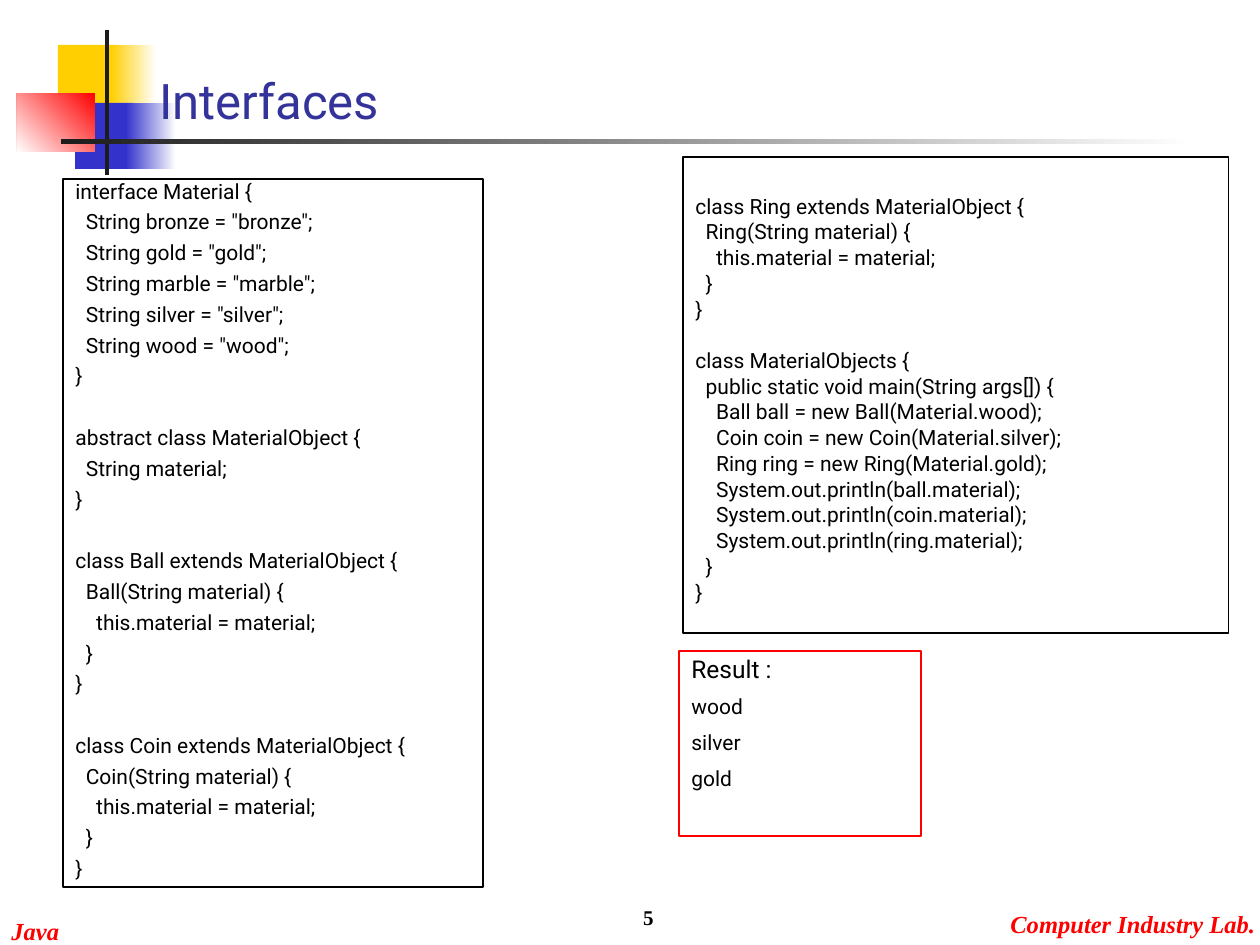
from pptx import Presentation
from pptx import util as u
from pptx.dml.color import RGBColor
from pptx.enum import shapes, text

PX = 914400 // 126
THEME = {
    "sans": "Roboto", "serif": "Times New Roman",
    "white": "FFFFFF", "black": "000000", "dark": "1C1C1C", "red": "FF0000",
    "gold": "FFCF01", "blue": "3333CC", "title": "333399",
    "head": 28, "label": 14, "code": 12,
}

TITLE = ("Interfaces", (147, 63, 378, 73))

# Box, colours (one is solid, two make a gradient), clockwise angle
DECOR = [
    ((58, 45, 60, 66), ["gold"], 0),
    ((111, 45, 45, 66), ["white", "gold"], 180),
    ((75, 103, 58, 66), ["blue"], 0),
    ((126, 103, 50, 66), ["white", "blue"], 180),
    ((17, 93, 78, 59), ["red", "white"], 135),
    ((105, 30, 4, 145), ["dark"], 0),
    ((61, 139, 1134, 5), ["white", "dark"], 180),
]

MATERIALS = [
    """interface Material {
  String bronze = "bronze";
  String gold = "gold";
  String marble = "marble";
  String silver = "silver";
  String wood = "wood";
}""",
    """abstract class MaterialObject {
  String material;
}""",
    """class Ball extends MaterialObject {
  Ball(String material) {
    this.material = material;
  }
}""",
    """class Coin extends MaterialObject {
  Coin(String material) {
    this.material = material;
  }
}""",
]

OBJECTS = [
    """class Ring extends MaterialObject {
  Ring(String material) {
    this.material = material;
  }
}""",
    """class MaterialObjects {
  public static void main(String args[]) {
    Ball ball = new Ball(Material.wood);
    Coin coin = new Coin(Material.silver);
    Ring ring = new Ring(Material.gold);
    System.out.println(ball.material);
    System.out.println(coin.material);
    System.out.println(ring.material);
  }
}""",
]

RESULT = ["Result :", "wood", "silver", "gold"]

# Box, code blocks, line spacing, space between blocks in points, top inset
CODE = [
    ((683, 157, 546, 476), OBJECTS, 0.5, 22.2, 47),
    ((63, 179, 420, 708), MATERIALS, 0.7, 25.1, 6),
]
RESULT_BOX = (679, 651, 242, 185)
LINE_GAP = 7.5

FOOTERS = [
    ("Java", (-1, 910, 73, 43)),
    ("Computer Industry Lab.", (998, 903, 270, 43)),
]
NUMBER = ("5", (404, 873, 262, 63))


def color(name):
    return RGBColor.from_string(THEME[name])


def place(box):
    return [n * PX for n in box]


def style(par, face, size, tint, bold=False, italic=False):
    font = par.font
    font.name, font.size = THEME[face], u.Pt(THEME[size])
    font.color.rgb = color(tint)
    font.bold, font.italic = bold, italic


def add_rect(slide, box):
    rect = slide.shapes.add_shape(shapes.MSO_SHAPE.RECTANGLE, *place(box))
    rect.shadow.inherit = False
    return rect


def add_decor(slide, box, tints, angle):
    rect = add_rect(slide, box)
    rect.line.fill.background()
    if len(tints) == 1:
        rect.fill.solid()
        rect.fill.fore_color.rgb = color(tints[0])
        return
    rect.fill.gradient()
    rect.fill.gradient_angle = 360 - angle
    for stop, tint in zip(rect.fill.gradient_stops, tints):
        stop.color.rgb = color(tint)


def add_panel(slide, box, edge, rows, spacing, top=6):
    """Draw an outlined box; each row is text, type size and space before."""
    rect = add_rect(slide, box)
    rect.fill.background()
    rect.line.color.rgb = color(edge)
    rect.line.width = u.Pt(0.75)
    frame = rect.text_frame
    frame.word_wrap = True
    frame.vertical_anchor = text.MSO_ANCHOR.TOP
    frame.margin_top = top * PX
    for i, (line, size, gap) in enumerate(rows):
        par = frame.add_paragraph() if i else frame.paragraphs[0]
        par.text = line
        par.alignment = text.PP_ALIGN.LEFT
        par.line_spacing = spacing
        par.space_before = u.Pt(gap if i else 0)
        style(par, "sans", size, "black")


def code_rows(blocks, gap):
    return [(line, "code", LINE_GAP if i else gap)
            for block in blocks
            for i, line in enumerate(block.split("\n"))]


def add_label(slide, words, box):
    frame = slide.shapes.add_textbox(*place(box)).text_frame
    frame.text = words
    return frame, frame.paragraphs[0]


def add_title(slide):
    words, box = TITLE
    title = slide.shapes.title
    title.left, title.top, title.width, title.height = place(box)
    # Bring the title in front of the decoration
    title.element.getparent().append(title.element)
    frame = title.text_frame
    frame.text = words
    frame.auto_size = text.MSO_AUTO_SIZE.NONE
    frame.vertical_anchor = text.MSO_ANCHOR.BOTTOM
    par = frame.paragraphs[0]
    par.alignment = text.PP_ALIGN.LEFT
    style(par, "sans", "head", "title")


def main():
    deck = Presentation()
    deck.slide_width, deck.slide_height = u.Inches(10), u.Inches(7.5)
    slide = deck.slides.add_slide(deck.slide_layouts[5])

    for item in DECOR:
        add_decor(slide, *item)
    for words, box in FOOTERS:
        _, par = add_label(slide, words, box)
        style(par, "serif", "label", "red", bold=True, italic=True)
    add_title(slide)

    for box, blocks, spacing, gap, top in CODE:
        add_panel(slide, box, "black", code_rows(blocks, gap), spacing, top)
    rows = [(line, "code" if i else "label", LINE_GAP)
            for i, line in enumerate(RESULT)]
    add_panel(slide, RESULT_BOX, "red", rows, 0.9)

    frame, par = add_label(slide, *NUMBER)
    frame.word_wrap = True
    frame.vertical_anchor = text.MSO_ANCHOR.BOTTOM
    par.alignment = text.PP_ALIGN.RIGHT
    style(par, "serif", "code", "black", bold=True)

    deck.save("out.pptx")


if __name__ == "__main__":
    main()
